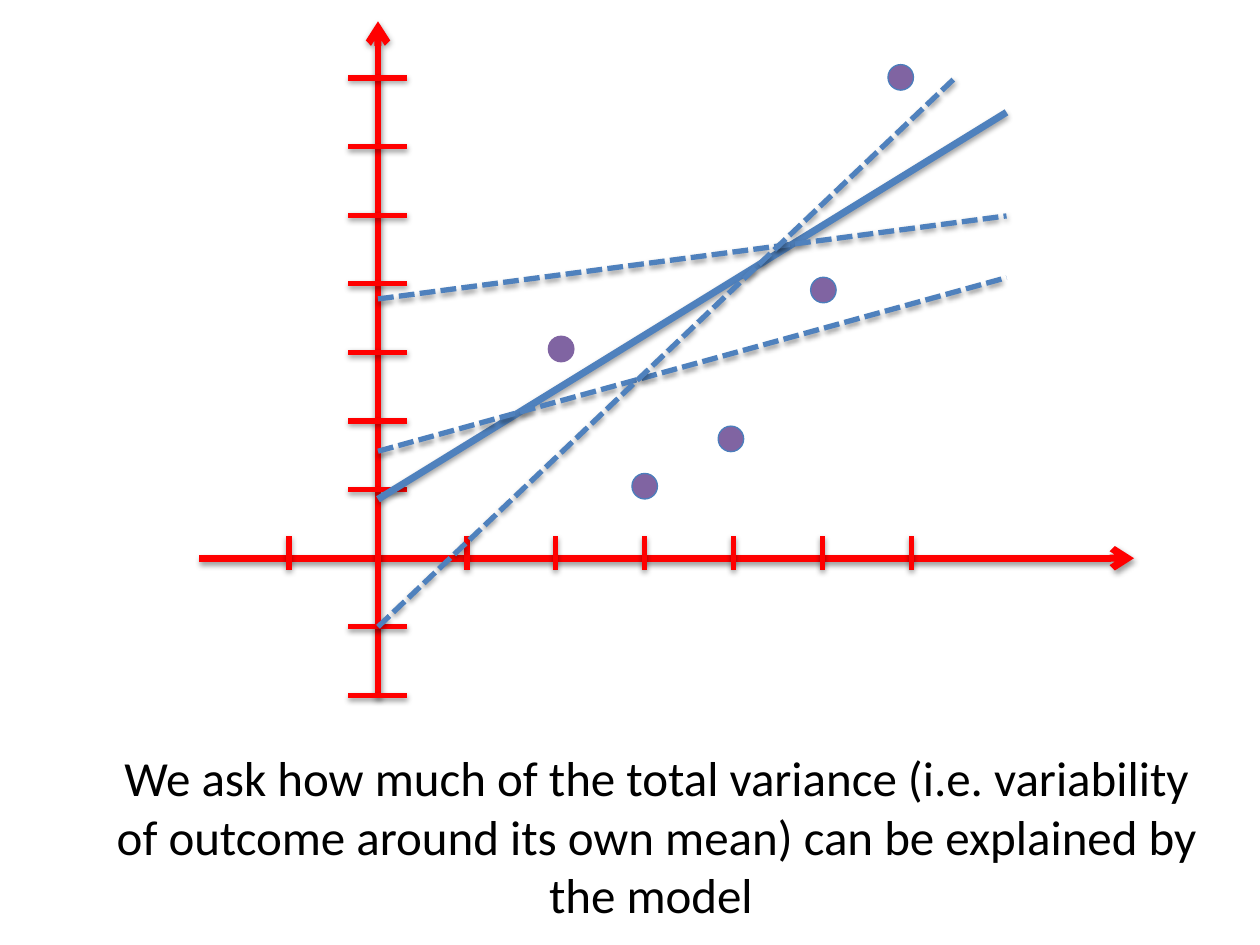
import pptx
import pptx.dml.color
import pptx.enum.dml
import pptx.enum.shapes
import pptx.enum.text
import pptx.oxml
import pptx.oxml.ns
import pptx.util

Pt = pptx.util.Pt
RED, BLUE, EDGE, PURPLE = "FF0000", "4F81BD", "4B7EBC", "8064A2"
UNIT_X, UNIT_Y = 50.8, 39.2
SHADOW = (
    f'<a:effectLst {pptx.oxml.ns.nsdecls("a")}>'
    '<a:outerShdw blurRad="40000" dist="20000" dir="5400000" rotWithShape="0">'
    '<a:srgbClr val="000000"><a:alpha val="38000"/></a:srgbClr>'
    '</a:outerShdw></a:effectLst>'
)
ARROW = f'<a:tailEnd {pptx.oxml.ns.nsdecls("a")} type="arrow"/>'


def paint(target, color):
    target.rgb = pptx.dml.color.RGBColor.from_string(color)


def add_line(page, start, end, color, width, dashed=False, arrow=False):
    line = page.shapes.add_connector(
        pptx.enum.shapes.MSO_CONNECTOR.STRAIGHT,
        *(Pt(value) for value in (*start, *end)),
    )
    paint(line.line.color, color)
    line.line.width = Pt(width)
    if dashed:
        line.line.dash_style = pptx.enum.dml.MSO_LINE.SQUARE_DOT
    if arrow:
        line.line._get_or_add_ln().append(pptx.oxml.parse_xml(ARROW))
    line._element.spPr.append(pptx.oxml.parse_xml(SHADOW))


def add_dot(page, center, size, edge):
    dot = page.shapes.add_shape(
        pptx.enum.shapes.MSO_SHAPE.OVAL,
        Pt(center[0] - size / 2), Pt(center[1] - size / 2), Pt(size), Pt(size),
    )
    dot.shadow.inherit = False
    dot.fill.solid()
    paint(dot.fill.fore_color, PURPLE)
    paint(dot.line.color, edge)
    dot.line.width = Pt(0.75)


def draw_axes(page, left, top, width, height, origin):
    x, y = origin
    add_line(page, (left, y), (left + width, y), RED, 4, arrow=True)
    add_line(page, (x, top + height), (x, top), RED, 4, arrow=True)
    for step in range(-1, 7):
        if step:
            tick = x + step * UNIT_X
            add_line(page, (tick, y + 6.5), (tick, y - 13), RED, 3)
    for step in range(-2, 8):
        if step:
            tick = y - step * UNIT_Y
            add_line(page, (x - 17, tick), (x + 16.5, tick), RED, 3)


def draw_plot(page, left, top, width, height):
    origin = (left + 102.2, top + height - 2 * UNIT_Y)

    def place(point):
        return origin[0] + point[0] * UNIT_X, origin[1] - point[1] * UNIT_Y

    draw_axes(page, left, top, width, height, origin)
    dots = [(2.06, 3.05), (3.97, 1.74), (3, 1.05), (5.01, 3.91), (5.88, 7.01)]
    for index, point in enumerate(dots):
        add_dot(page, place(point), 14.6, EDGE if index else PURPLE)
    add_line(page, place((0, 0.86)), place((7.07, 6.5)), BLUE, 4)
    candidates = [
        ((0, 1.56), (7.07, 4.09)),
        ((0, 3.78), (7.07, 4.99)),
        ((0, -1), (6.49, 7)),
    ]
    for start, end in candidates:
        add_line(page, place(start), place(end), BLUE, 3, dashed=True)


def write_caption(page, left, top, width, height):
    box = page.shapes.add_textbox(Pt(left), Pt(top), Pt(width), Pt(height))
    box.text_frame.word_wrap = True
    box.text_frame.auto_size = pptx.enum.text.MSO_AUTO_SIZE.SHAPE_TO_FIT_TEXT
    box.text_frame.text = (
        "We ask how much of the total variance (i.e. variability of outcome "
        "around its own mean) can be explained by the model "
    )
    para = box.text_frame.paragraphs[0]
    para.alignment = pptx.enum.text.PP_ALIGN.CENTER
    para.level = 1
    para._p.get_or_add_pPr().set("marL", str(Pt(36)))
    para._p.get_or_add_pPr().set("indent", "0")
    span = para.runs[0]
    span.font.name = "Calibri"
    span.font.size = Pt(28)
    paint(span.font.color, "000000")


def main():
    deck = pptx.Presentation()
    deck.slide_width, deck.slide_height = Pt(720), Pt(540)
    page = deck.slides.add_slide(deck.slide_layouts[6])
    draw_plot(page, 113.8, 12.2, 534.2, 385.2)
    write_caption(page, 18, 423.4, 678.2, 108.7)
    deck.save("out.pptx")


if __name__ == "__main__":
    main()
